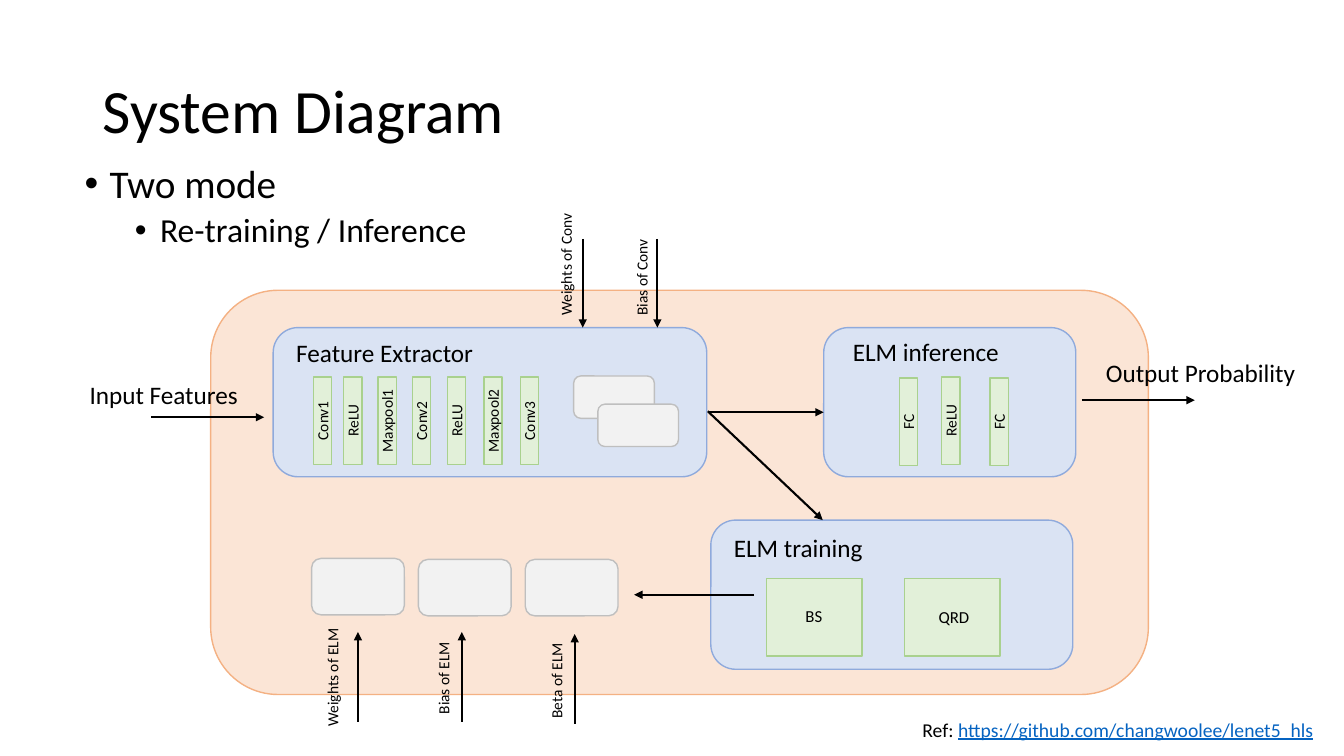
from dataclasses import dataclass
from typing import NamedTuple

from lxml.etree import SubElement
from pptx import Presentation
from pptx.dml.color import RGBColor
from pptx.enum.shapes import MSO_CONNECTOR, MSO_SHAPE
from pptx.enum.text import MSO_ANCHOR, MSO_AUTO_SIZE, PP_ALIGN
from pptx.oxml.ns import qn
from pptx.util import Inches, Pt


class Paint(NamedTuple):
    fill: str
    line: str
    rounded: bool = True


@dataclass(frozen=True)
class Theme:
    font: str = "Calibri"
    ink: str = "000000"
    link: str = "0563C1"
    title: int = 44
    topic: int = 28
    subtopic: int = 24
    heading: int = 18
    reference: int = 14
    unit: int = 12
    small: int = 11
    outline: float = 1
    arrow: float = 1.5
    system: Paint = Paint("FBE5D6", "F4B183")
    stage: Paint = Paint("DAE3F3", "8FAADC")
    memory: Paint = Paint("F2F2F2", "BFBFBF")
    block: Paint = Paint("E2F0D9", "A9D18E", False)


THEME = Theme()


class Box(NamedTuple):
    left: float
    top: float
    width: float
    height: float
    paint: Paint


class Label(NamedTuple):
    text: str
    left: float
    top: float
    width: float
    height: float = 0.4
    size: int = THEME.heading
    rotation: int = 0
    align: PP_ALIGN = PP_ALIGN.LEFT


class Arrow(NamedTuple):
    x1: float
    y1: float
    x2: float
    y2: float


class Layer(NamedTuple):
    name: str
    left: float
    label_width: float
    top: float = 3.74


def set_all(target, formats: dict) -> None:
    for name, value in formats.items():
        setattr(target, name, value)


def add_run(paragraph, text: str, size: int, color: str = THEME.ink, **extra) -> None:
    run = paragraph.add_run()
    run.text = text
    set_all(run.font, {"name": THEME.font, "size": Pt(size), **extra})
    run.font.color.rgb = RGBColor.from_string(color)


def add_frame(slide, left: float, top: float, width: float, height: float,
              rotation: int = 0, **formats):
    holder = slide.shapes.add_textbox(*map(Inches, (left, top, width, height)))
    holder.rotation = rotation
    set_all(holder.text_frame, formats)
    return holder.text_frame


def add_label(slide, label: Label) -> None:
    frame = add_frame(slide, label.left, label.top, label.width, label.height, label.rotation,
                      word_wrap=False, auto_size=MSO_AUTO_SIZE.SHAPE_TO_FIT_TEXT)
    paragraph = frame.paragraphs[0]
    paragraph.alignment = label.align
    add_run(paragraph, label.text, label.size)


def add_box(slide, box: Box) -> None:
    kind = MSO_SHAPE.ROUNDED_RECTANGLE if box.paint.rounded else MSO_SHAPE.RECTANGLE
    area = slide.shapes.add_shape(kind, *map(Inches, box[:4]))
    area.shadow.inherit = False
    area.fill.solid()
    area.fill.fore_color.rgb = RGBColor.from_string(box.paint.fill)
    area.line.color.rgb = RGBColor.from_string(box.paint.line)
    area.line.width = Pt(THEME.outline)


def add_arrow(slide, arrow: Arrow) -> None:
    flow = slide.shapes.add_connector(MSO_CONNECTOR.STRAIGHT, *map(Inches, arrow))
    flow.line.color.rgb = RGBColor.from_string(THEME.ink)
    flow.line.width = Pt(THEME.arrow)
    SubElement(flow.line._get_or_add_ln(), qn("a:tailEnd"), type="triangle")
    SubElement(flow._element.spPr, qn("a:effectLst"))


def add_layer(slide, layer: Layer) -> None:
    width, height, label_height = 0.18, 0.87, 0.29
    add_box(slide, Box(layer.left, layer.top, width, height, THEME.block))
    add_label(slide, Label(layer.name, layer.left + (width - layer.label_width) / 2,
                           layer.top + (height - label_height) / 2, layer.label_width,
                           label_height, THEME.small, 270, PP_ALIGN.CENTER))


def add_bullet(paragraph, text: str, size: int, margin: float) -> None:
    properties = paragraph._p.get_or_add_pPr()
    properties.set("marL", str(Inches(margin)))
    properties.set("indent", str(Inches(-0.25)))
    SubElement(properties, qn("a:buFont"), typeface="Arial")
    SubElement(properties, qn("a:buChar"), char="•")
    paragraph.line_spacing = 0.9
    add_run(paragraph, text, size)


BOXES = [
    Box(2.09, 2.88, 9.3, 4.01, THEME.system),
    # Feature extractor, ELM inference and ELM training
    Box(2.71, 3.25, 4.3, 1.48, THEME.stage),
    Box(8.17, 3.25, 2.5, 1.48, THEME.stage),
    Box(7.05, 5.16, 3.59, 1.48, THEME.stage),
    # Convolution and ELM parameter memories
    Box(5.69, 3.73, 0.8, 0.42, THEME.memory),
    Box(5.93, 4.01, 0.8, 0.42, THEME.memory),
    *(Box(left, top, 0.92, 0.56, THEME.memory)
      for left, top in ((3.09, 5.54), (4.15, 5.55), (5.21, 5.55))),
    # Training units
    *(Box(left, 5.74, 0.95, 0.77, THEME.block) for left in (7.6, 8.97)),
]

LAYERS = [
    Layer("Conv1", 3.11, 0.59), Layer("ReLU", 3.41, 0.65), Layer("Maxpool1", 3.75, 0.83),
    Layer("Conv2", 4.09, 0.59), Layer("ReLU", 4.44, 0.65), Layer("Maxpool2", 4.8, 0.83),
    Layer("Conv3", 5.16, 0.59),
    Layer("FC", 8.92, 0.35, 3.75), Layer("ReLU", 9.34, 0.65), Layer("FC", 9.82, 0.35, 3.75),
]

ARROWS = [
    # Input, output and links between stages
    Arrow(1.5, 4.14, 2.62, 4.14),
    Arrow(10.73, 3.97, 11.85, 3.97),
    Arrow(7.03, 4.09, 8.17, 4.09),
    Arrow(7.02, 4.08, 8.16, 5.16),
    Arrow(7.48, 5.9, 6.29, 5.9),
    # Parameters loaded from above and below
    *(Arrow(x, 2.37, x, 3.25) for x in (5.78, 6.52)),
    *(Arrow(x, start, x, start - 0.89) for x, start in ((3.55, 7.16), (4.58, 7.16), (5.7, 7.18))),
]

LABELS = [
    Label("Input Features", 0.79, 3.71, 1.69),
    Label("Output Probability", 10.87, 3.5, 2.1),
    Label("Feature Extractor", 2.84, 3.3, 1.97),
    Label("ELM inference", 8.36, 3.29, 1.67),
    Label("ELM training", 7.18, 5.23, 1.49),
    Label("BS", 7.89, 5.96, 0.37, 0.3, THEME.unit),
    Label("QRD", 9.21, 5.97, 0.51, 0.3, THEME.unit),
    *(Label(text, left, top, width, 0.29, THEME.small, 270) for text, left, top, width in (
        ("Weights of Conv", 5, 2.47, 1.23),
        ("Bias of Conv", 5.88, 2.6, 0.97),
        ("Weights of ELM", 2.71, 6.57, 1.18),
        ("Bias of ELM", 3.94, 6.58, 0.92),
        ("Beta of ELM", 5.04, 6.6, 0.96),
    )),
]


def main() -> None:
    deck = Presentation()
    set_all(deck, {"slide_width": Inches(13.33), "slide_height": Inches(7.5)})
    slide = deck.slides.add_slide(deck.slide_layouts[6])

    # Title and modes
    title = add_frame(slide, 0.92, 0.4, 11.5, 1.45, word_wrap=True,
                      vertical_anchor=MSO_ANCHOR.MIDDLE).paragraphs[0]
    title.line_spacing = 0.9
    add_run(title, "System Diagram", THEME.title)
    modes = add_frame(slide, 0.74, 1.58, 11.5, 1.36, word_wrap=True)
    add_bullet(modes.paragraphs[0], "Two mode", THEME.topic, 0.25)
    choices = modes.add_paragraph()
    choices.level = 1
    add_bullet(choices, "Re-training / Inference", THEME.subtopic, 0.75)
    choices.space_before = Pt(5)

    # Diagram
    for draw, parts in ((add_box, BOXES), (add_layer, LAYERS),
                        (add_arrow, ARROWS), (add_label, LABELS)):
        for part in parts:
            draw(slide, part)

    # Reference
    reference = add_frame(slide, 9.05, 7.07, 4.12, 0.34, word_wrap=False,
                          auto_size=MSO_AUTO_SIZE.SHAPE_TO_FIT_TEXT).paragraphs[0]
    add_run(reference, "Ref: ", THEME.reference)
    add_run(reference, "https://github.com/changwoolee/lenet5_hls", THEME.reference,
            THEME.link, underline=True)

    deck.save("out.pptx")


if __name__ == "__main__":
    main()
